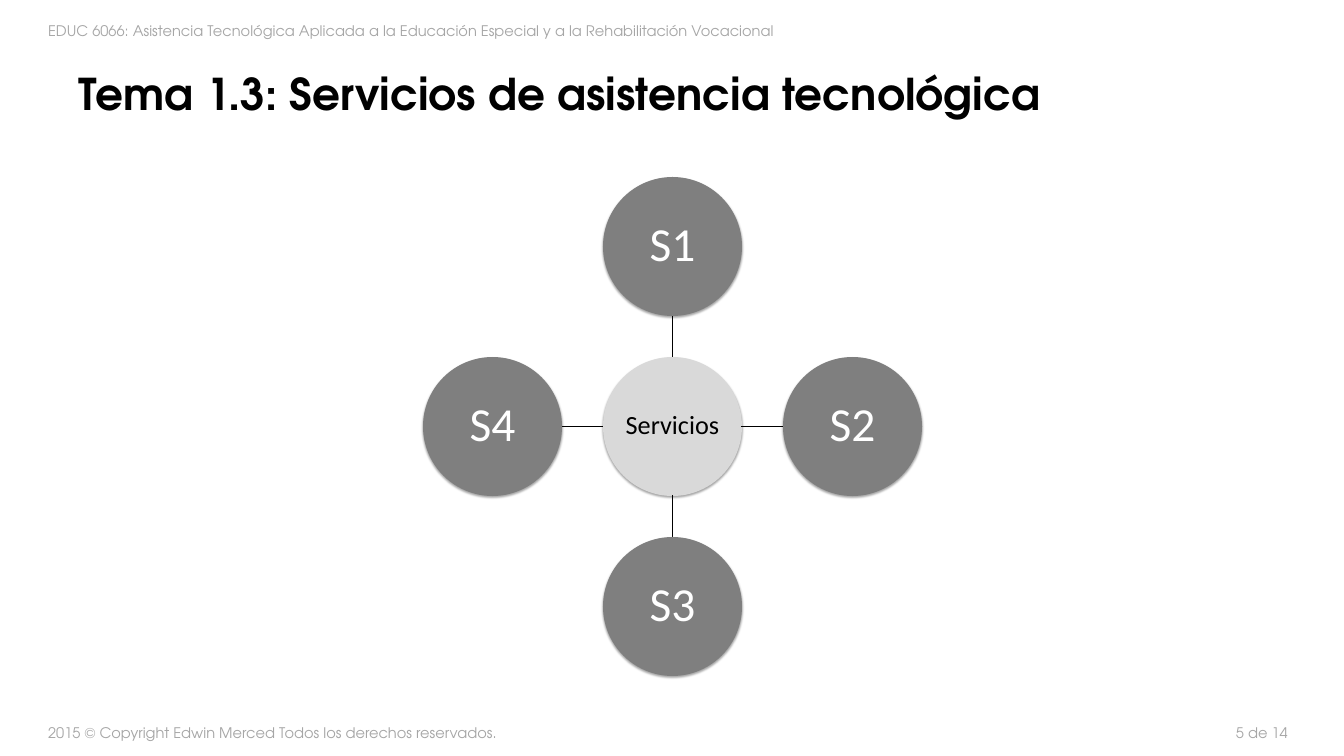
"""Build the slide with four assistive technology services around a hub."""
import lxml.etree
import pptx
import pptx.dml.color
import pptx.enum.shapes
import pptx.enum.text
import pptx.oxml
import pptx.oxml.ns
import pptx.util

PX = 17417
HEADING_FONT = "TeX Gyre Adventor"
DIAMETER, RADIUS, STEP = 139, 69, 180
CENTER_X, CENTER_Y = 672, 426
ALIGN = pptx.enum.text.PP_ALIGN
MIDDLE = pptx.enum.text.MSO_ANCHOR.MIDDLE
qn = pptx.oxml.ns.qn
SHADOW = (
    '<a:outerShdw xmlns:a="http://schemas.openxmlformats.org/drawingml/2006/main" '
    'blurRad="39370" dist="22860" dir="5400000" rotWithShape="0">'
    '<a:srgbClr val="000000"><a:alpha val="35000"/></a:srgbClr></a:outerShdw>'
)


def rgb(value):
    return pptx.dml.color.RGBColor.from_string(value)


def write(sp, text, size, font, color, align):
    tf = sp.text_frame
    tf.text = text
    p = tf.paragraphs[0]
    p.alignment = align
    r = p.runs[0]
    r.font.size = pptx.util.Pt(size)
    r.font.name = font
    r.font.color.rgb = rgb(color)
    return tf


prs = pptx.Presentation()
prs.slide_width = 1344 * PX
prs.slide_height = 756 * PX
s = prs.slides.add_slide(prs.slide_layouts[6])

title = s.shapes.add_textbox(67 * PX, 30 * PX, 1210 * PX, 126 * PX)
tf = write(title, "Tema 1.3: Servicios de asistencia tecnológica", 60,
           HEADING_FONT, "000000", ALIGN.LEFT)
tf.word_wrap = True
tf.vertical_anchor = MIDDLE
tf.margin_left = tf.margin_right = 12 * PX
tf.paragraphs[0].runs[0].font.bold = True

captions = [
    ("EDUC 6066: Asistencia Tecnológica Aplicada a la Educación Especial "
     "y a la Rehabilitación Vocacional", 43, 19, 742, ALIGN.LEFT),
    ("2015 © Copyright Edwin Merced Todos los derechos reservados.",
     43, 721, 464, ALIGN.LEFT),
    ("5 de 14", 1230, 721, 63, ALIGN.RIGHT),
]
for text, left, top, width, align in captions:
    sp = s.shapes.add_textbox(left * PX, top * PX, width * PX, 23 * PX)
    tf = write(sp, text, 20, HEADING_FONT, "A6A6A6", align)
    tf.word_wrap = False

circles = [
    ("Servicios", 0, 0, 36, "D9D9D9", "000000"),
    ("S1", 0, -1, 65, "7F7F7F", "FFFFFF"),
    ("S2", 1, 0, 65, "7F7F7F", "FFFFFF"),
    ("S3", 0, 1, 65, "7F7F7F", "FFFFFF"),
    ("S4", -1, 0, 65, "7F7F7F", "FFFFFF"),
]
for text, dx, dy, size, fill, color in circles:
    if dx or dy:
        near, far = RADIUS, STEP - RADIUS
        line = s.shapes.add_connector(
            pptx.enum.shapes.MSO_CONNECTOR.STRAIGHT,
            (CENTER_X + dx * near) * PX, (CENTER_Y + dy * near) * PX,
            (CENTER_X + dx * far) * PX, (CENTER_Y + dy * far) * PX)
        line.line.color.rgb = rgb("000000")
        line.line.width = pptx.util.Pt(0.75)
        lxml.etree.SubElement(line.element.spPr, qn("a:effectLst"))
    sp = s.shapes.add_shape(
        pptx.enum.shapes.MSO_SHAPE.OVAL,
        (CENTER_X + dx * STEP - RADIUS) * PX,
        (CENTER_Y + dy * STEP - RADIUS) * PX, DIAMETER * PX, DIAMETER * PX)
    sp.fill.solid()
    sp.fill.fore_color.rgb = rgb(fill)
    sp.line.fill.background()
    sp.shadow.inherit = False
    effects = sp.element.spPr.find(qn("a:effectLst"))
    effects.append(pptx.oxml.parse_xml(SHADOW))
    tf = write(sp, text, size, "Calibri", color, ALIGN.CENTER)
    tf.paragraphs[0].line_spacing = 0.9
    tf.vertical_anchor = MIDDLE
    tf.margin_left = tf.margin_right = 2 * PX
    tf.margin_top = tf.margin_bottom = 2 * PX

prs.save("out.pptx")
